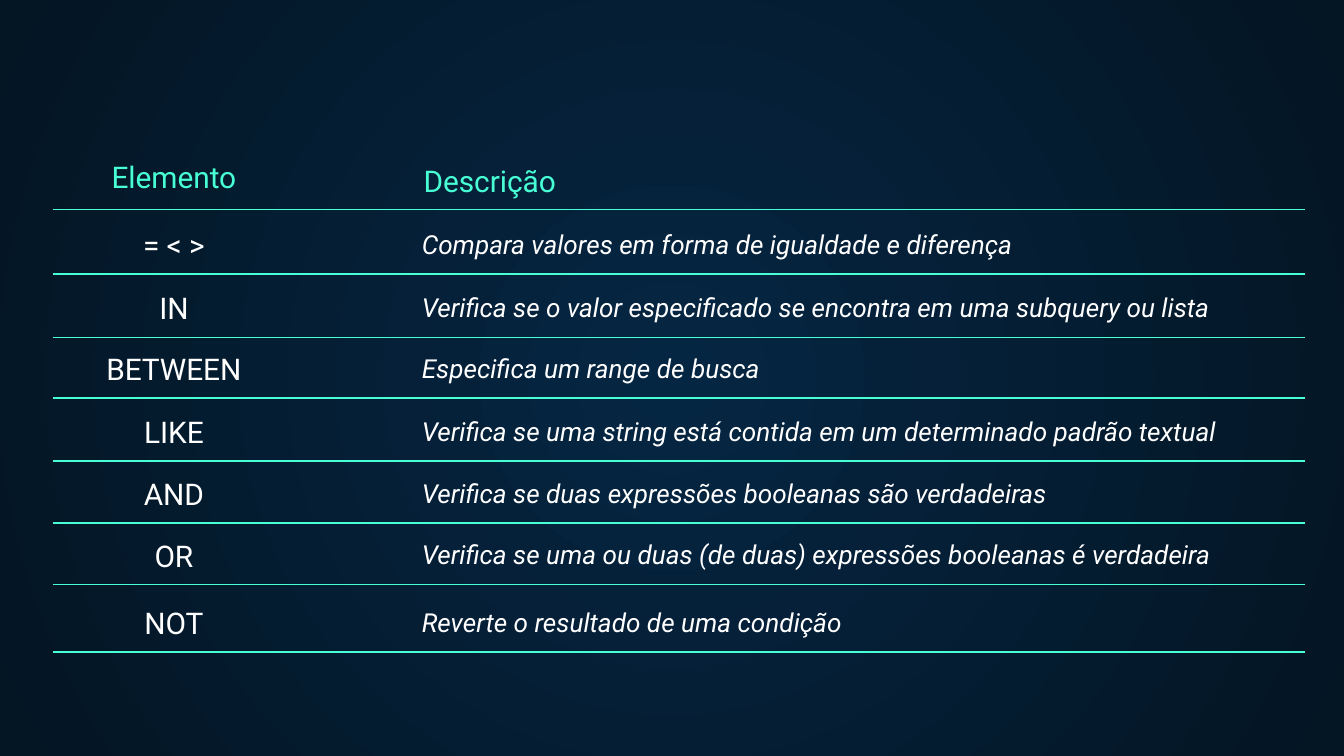
from lxml.etree import SubElement
from pptx import Presentation
from pptx.dml.color import RGBColor
from pptx.enum.shapes import MSO_CONNECTOR
from pptx.enum.text import MSO_ANCHOR, PP_ALIGN
from pptx.oxml.ns import qn
from pptx.util import Pt

HEADS = [("Elemento", 36.7, 68.4), ("Descrição", 205.9, 70.6)]
HEAD_LINE = 112.3
ROWS = [
    ("= < >", "Compara valores em forma de igualdade e diferença", 146.9),
    ("IN", "Verifica se o valor especificado se encontra em uma subquery ou lista", 180.7),
    ("BETWEEN", "Especifica um range de busca", 213.3),
    ("LIKE", "Verifica se uma string está contida em um determinado padrão textual", 247),
    ("AND", "Verifica se duas expressões booleanas são verdadeiras", 280.1),
    ("OR", "Verifica se uma ou duas (de duas) expressões booleanas é verdadeira", 313.1),
    ("NOT", "Reverte o resultado de uma condição", 349.2),
]
THEME = {
    "font": "Roboto", "big": 16, "small": 14,
    "accent": "48FFD5", "text": "FFFFFF",
    "inner": "052643", "outer": "041523",
}
TERM_X, TERM_W, TERM_H = 36.7, 113, 28.8
DESC_X, DESC_W, DESC_H = 218.9, 501, 25.2
LINE_X, LINE_END = 28.5, 699.1
TERM_RISE, DESC_RISE = 27.7, 25.6
HEAD_H = 43.2


def color(name):
    return RGBColor.from_string(THEME[name])


def paint(slide):
    fill = slide.background.fill
    fill.gradient()
    for stop, name in zip(fill.gradient_stops, ("inner", "outer")):
        stop.color.rgb = color(name)
    grad = next(slide.element.iter(qn("a:gradFill")))
    grad.remove(grad.find(qn("a:lin")))
    shade = SubElement(grad, qn("a:path"), {"path": "circle"})
    SubElement(shade, qn("a:fillToRect"), dict.fromkeys("ltrb", "50000"))


def write(slide, text, box, size, tint, align=PP_ALIGN.CENTER, italic=False):
    frame = slide.shapes.add_textbox(*map(Pt, box)).text_frame
    frame.word_wrap = True
    frame.vertical_anchor = MSO_ANCHOR.BOTTOM
    frame.margin_left = frame.margin_right = Pt(7.2)
    frame.margin_top = frame.margin_bottom = Pt(7.2)
    para = frame.paragraphs[0]
    para.text = text
    para.alignment = align
    para.font.name = THEME["font"]
    para.font.size = Pt(THEME[size])
    para.font.italic = italic
    para.font.color.rgb = color(tint)


def rule(slide, y):
    line = slide.shapes.add_connector(
        MSO_CONNECTOR.STRAIGHT, Pt(LINE_X), Pt(y), Pt(LINE_END), Pt(y))
    line.line.color.rgb = color("accent")
    line.line.width = Pt(0.75)
    SubElement(line.element.spPr, qn("a:effectLst"))


def main():
    deck = Presentation()
    deck.slide_width, deck.slide_height = Pt(720), Pt(405)
    slide = deck.slides.add_slide(deck.slide_layouts[6])
    paint(slide)
    for text, x, y in HEADS:
        write(slide, text, (x, y, TERM_W, HEAD_H), "big", "accent")
    rule(slide, HEAD_LINE)
    for term, desc, y in ROWS:
        write(slide, term, (TERM_X, y - TERM_RISE, TERM_W, TERM_H), "big", "text")
        write(slide, desc, (DESC_X, y - DESC_RISE, DESC_W, DESC_H), "small", "text",
              PP_ALIGN.LEFT, True)
        rule(slide, y)
    deck.save("out.pptx")


if __name__ == "__main__":
    main()
